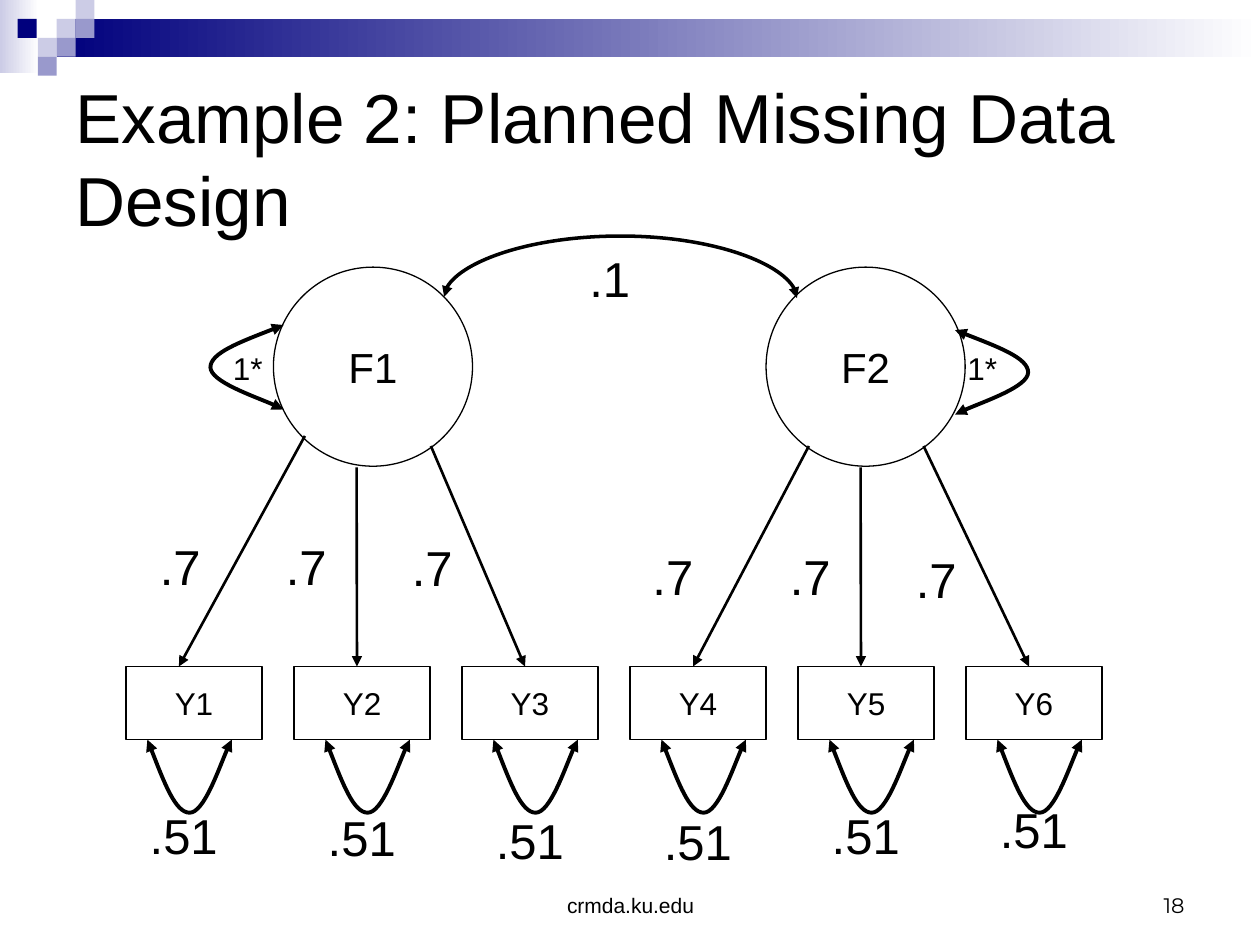
import dataclasses

import lxml.etree
import pptx
import pptx.dml.color
import pptx.enum.shapes
import pptx.enum.text
import pptx.oxml.ns
import pptx.util

Inches = pptx.util.Inches
qn = pptx.oxml.ns.qn
Shape = pptx.enum.shapes.MSO_SHAPE
Connector = pptx.enum.shapes.MSO_CONNECTOR
Align = pptx.enum.text.PP_ALIGN
Anchor = pptx.enum.text.MSO_ANCHOR


@dataclasses.dataclass(frozen=True)
class Theme:
    ink: str = "000000"
    paper: str = "FFFFFF"
    navy: str = "00007D"
    violet: str = "9999CC"
    lavender: str = "CCCCE6"
    font: str = "Arial"
    number_font: str = "Montserrat"
    title: float = 39.6
    coefficient: float = 28
    factor: float = 24
    item: float = 18
    footer: float = 12
    outline: float = 0.75
    path_line: float = 1.5
    arc_line: float = 2
    loop_line: float = 2.25


def color(value):
    return pptx.dml.color.RGBColor.from_string(value)


class DiagramSlide:
    LOOP = [(0, 0), (0.17, 0.5), (0.33, 1), (0.5, 1), (0.67, 1), (0.92, 0.16), (1, 0)]

    def __init__(self, slide, theme):
        self.slide = slide
        self.theme = theme

    def set_text(self, shape, text, size, align, anchor, font=None):
        frame = shape.text_frame
        frame.text = text
        frame.vertical_anchor = anchor
        para = frame.paragraphs[0]
        para.alignment = align
        span = para.runs[0]
        span.font.size = pptx.util.Pt(size)
        span.font.name = font or self.theme.font
        span.font.color.rgb = color(self.theme.ink)

    def label(self, text, left, top, width, height, size,
              align=Align.LEFT, anchor=Anchor.TOP, font=None):
        box = self.slide.shapes.add_textbox(*map(Inches, (left, top, width, height)))
        box.text_frame.word_wrap = True
        self.set_text(box, text, size, align, anchor, font)

    def block(self, left, top, width, height, fill, fade_to=None):
        block = self.slide.shapes.add_shape(
            Shape.RECTANGLE, *map(Inches, (left, top, width, height)))
        block.shadow.inherit = False
        block.line.fill.background()
        if fade_to is None:
            block.fill.solid()
            block.fill.fore_color.rgb = color(fill)
            return
        block.fill.gradient()
        block.fill.gradient_angle = 0
        for stop, position, value in zip(block.fill.gradient_stops, (0, 1), (fill, fade_to)):
            stop.position = position
            stop.color.rgb = color(value)

    def variable(self, kind, text, left, top, width, height, size):
        node = self.slide.shapes.add_shape(kind, *map(Inches, (left, top, width, height)))
        node.shadow.inherit = False
        node.fill.solid()
        node.fill.fore_color.rgb = color(self.theme.paper)
        self.stroke(node, self.theme.outline)
        node.text_frame.word_wrap = False
        self.set_text(node, text, size, Align.CENTER, Anchor.MIDDLE)

    def stroke(self, shape, weight, arrowheads=()):
        shape.line.color.rgb = color(self.theme.ink)
        shape.line.width = pptx.util.Pt(weight)
        outline = shape._element.spPr.find(qn("a:ln"))
        for end in arrowheads:
            lxml.etree.SubElement(outline, qn(end), type="triangle")

    def connector(self, kind, start, end, weight, arrowheads):
        line = self.slide.shapes.add_connector(kind, *map(Inches, (*start, *end)))
        self.stroke(line, weight, arrowheads)
        lxml.etree.SubElement(line._element.spPr, qn("a:effectLst"))
        return line

    def loading(self, item, factor):
        self.connector(Connector.STRAIGHT, item, factor, self.theme.path_line, ["a:headEnd"])

    def covariance(self, center, baseline, span, rise):
        thickness = 0.01
        arc = self.connector(
            Connector.CURVE, (center, baseline - span / 2),
            (center + thickness, baseline + span / 2),
            self.theme.arc_line, ["a:headEnd", "a:tailEnd"])
        properties = arc._element.spPr
        frame = properties.find(qn("a:xfrm"))
        frame.set("rot", str(90 * 60000))
        frame.set("flipV", "1")
        geometry = properties.find(qn("a:prstGeom"))
        guides = geometry.find(qn("a:avLst"))
        if guides is None:
            guides = lxml.etree.SubElement(geometry, qn("a:avLst"))
        lxml.etree.SubElement(guides, qn("a:gd"), name="adj1",
                              fmla=f"val {round(-rise / thickness * 100000)}")

    def variance(self, start, along, depth):
        points = [tuple(Inches(origin + u * a + v * d)
                        for origin, a, d in zip(start, along, depth))
                  for u, v in self.LOOP]
        builder = self.slide.shapes.build_freeform(*points[0])
        builder.add_line_segments(points[1:], close=False)
        loop = builder.convert_to_shape()
        outline = next(loop._element.iter(qn("a:path")))
        segments = outline.findall(qn("a:lnTo"))
        for first in range(0, len(segments), 3):
            curve = lxml.etree.SubElement(outline, qn("a:cubicBezTo"))
            for segment in segments[first:first + 3]:
                curve.append(segment[0])
                outline.remove(segment)
        loop.shadow.inherit = False
        loop.fill.background()
        self.stroke(loop, self.theme.loop_line, ["a:headEnd", "a:tailEnd"])


def draw_header(page, theme):
    page.block(0, 0, 0.31, 0.58, theme.lavender, theme.paper)
    page.block(0.45, 0.15, 9.55, 0.3, theme.navy, theme.paper)
    tiles = [(0.45, 0.15, theme.lavender), (0.6, 0, theme.lavender),
             (0.6, 0.15, theme.violet), (0.3, 0.3, theme.lavender),
             (0.14, 0.15, theme.navy), (0.45, 0.3, theme.violet),
             (0.3, 0.45, theme.violet)]
    for left, top, fill in tiles:
        page.block(left, top, 0.15, 0.15, fill)
    page.label("Example 2: Planned Missing Data Design", 0.5, 0.5, 9, 1.5,
               theme.title, anchor=Anchor.MIDDLE)


def draw_model(page, theme):
    for name, left in (("F1", 2.17), ("F2", 6.08)):
        page.variable(Shape.OVAL, name, left, 2.12, 1.58, 1.58, theme.factor)

    item_top, item_height, item_step = 5.29, 0.58, 4 / 3
    factor_ends = [(2.42, 3.46), (2.83, 3.71), (3.42, 3.54),
                   (6.42, 3.54), (6.83, 3.71), (7.33, 3.54)]
    loading_labels = [(1.17, 4.21), (2.17, 4.21), (3.17, 4.22),
                      (5.08, 4.29), (6.17, 4.29), (7.17, 4.31)]
    residual_tops = [6.34, 6.36, 6.38, 6.39, 6.34, 6.3]
    for index, (factor_end, label_at, residual_top) in enumerate(
            zip(factor_ends, loading_labels, residual_tops)):
        left = 1 + index * item_step
        loop_left = left + (0.25 if index else 0.17)
        page.loading((loop_left + 0.25, item_top), factor_end)
        page.label(".7", *label_at, 0.92, 0.57, theme.coefficient)
        page.variance((loop_left, item_top + item_height), (0.67, 0), (0, 0.58))
        page.label(".51", loop_left - 0.08, residual_top, 0.83, 0.57, theme.coefficient)
        page.variable(Shape.RECTANGLE, f"Y{index + 1}", left, item_top, 1.08, item_height,
                      theme.item)

    page.covariance(4.92, 2.36, 2.8, 0.49)
    page.label(".1", 4.58, 1.92, 0.67, 0.57, theme.coefficient)
    for start, depth, label_left in (((2.25, 2.58), -0.58, 1.75), ((7.58, 2.62), 0.58, 7.58)):
        page.variance(start, (0, 0.67), (depth, 0))
        page.label("1*", label_left, 2.72, 0.58, 0.4, theme.item)


def main():
    deck = pptx.Presentation()
    deck.slide_width, deck.slide_height = Inches(10), Inches(7.5)
    theme = Theme()
    page = DiagramSlide(deck.slides.add_slide(deck.slide_layouts[6]), theme)
    draw_header(page, theme)
    draw_model(page, theme)
    page.label("crmda.ku.edu", 3.42, 6.83, 3.17, 0.5, theme.footer,
               Align.CENTER, Anchor.BOTTOM)
    page.label("18", 7.17, 6.83, 2.33, 0.5, theme.footer,
               Align.RIGHT, Anchor.BOTTOM, theme.number_font)
    deck.save("out.pptx")


if __name__ == "__main__":
    main()
